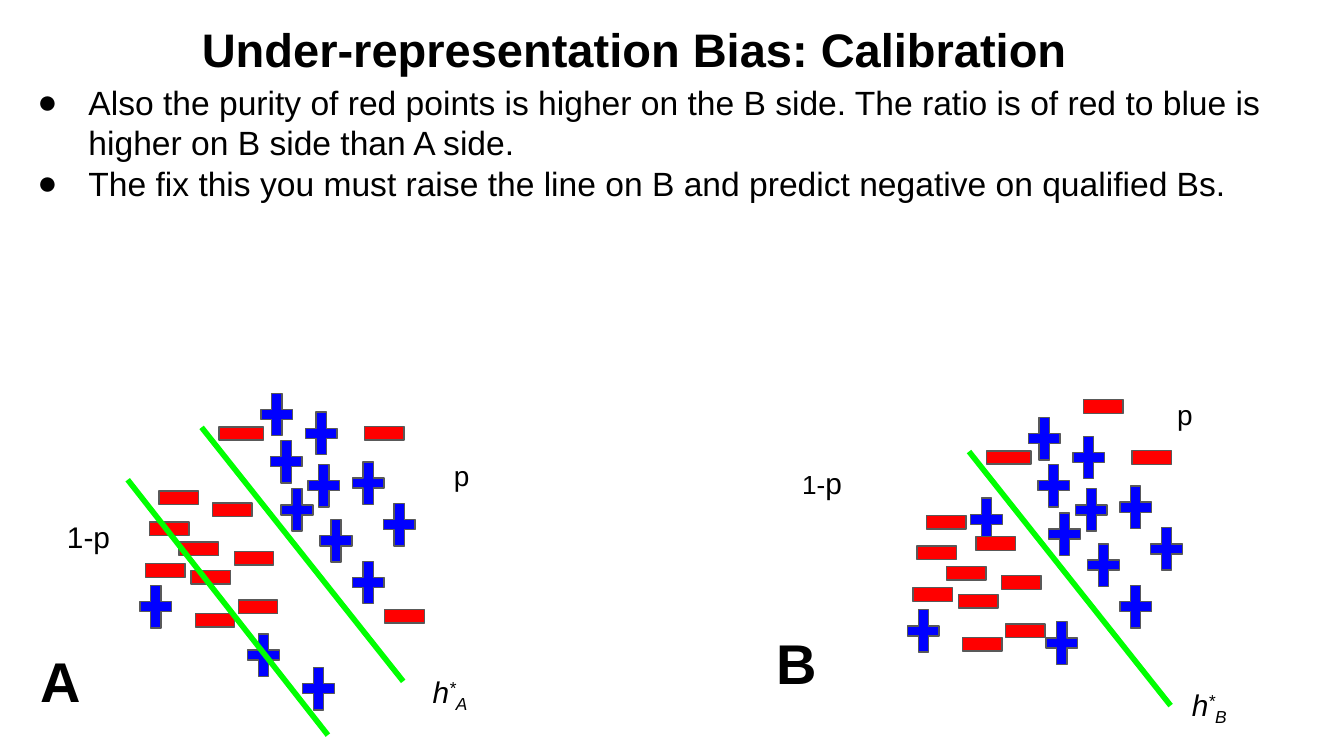
from lxml import etree
from pptx import Presentation
from pptx.dml.color import RGBColor
from pptx.enum.shapes import MSO_CONNECTOR, MSO_SHAPE
from pptx.enum.text import MSO_ANCHOR, PP_ALIGN
from pptx.oxml.ns import qn
from pptx.util import Pt

PX = 9144  # 100 px to the inch
WIDE = 1000 * PX
HIGH = WIDE * 9 // 16
BLACK = RGBColor(0x00, 0x00, 0x00)
BLUE = RGBColor(0x00, 0x00, 0xFF)
RED = RGBColor(0xFF, 0x00, 0x00)
GREEN = RGBColor(0x00, 0xFF, 0x00)
GRAY = RGBColor(0x59, 0x59, 0x59)

PLUS = MSO_SHAPE.MATH_PLUS
MINUS = MSO_SHAPE.MATH_MINUS
STRAIGHT = MSO_CONNECTOR.STRAIGHT
CENTER = PP_ALIGN.CENTER
BOTTOM = MSO_ANCHOR.BOTTOM

# Points and line that both groups share, relative to the group's corner
BLUES = [(95, 0), (128, 14), (110, 71), (102, 35), (130, 53), (139, 94),
         (163, 51), (186, 82), (5, 143), (163, 125)]
REDS = [(171, 14), (11, 85), (45, 153), (33, 100), (42, 121), (18, 62),
        (77, 143), (8, 116), (74, 107)]
SPLIT = (55, 31, 205, 220)

GROUPS = [
    dict(x=95, y=287, name="A", blues=[(85, 179), (126, 204)],
         reds=[(58, 71), (186, 150)], lines=[(0, 70, 149, 260)],
         tag=(-75, 184), rule=(217, 204, 62),
         low=(-55, 89, 62), low_runs=[("1-p", 16, 0)], high=(233, 44)),
    dict(x=666, y=305, name="B", blues=[(108, 152), (52, 60)],
         reds=[(135, -24), (55, 78)], lines=[],
         tag=(-98, 153), rule=(211, 196, 105),
         low=(-79, 31, 105), low_runs=[("1-", 14, 0), ("p", 16, 0)],
         high=(200, -19)),
]


def emu(*nums):
    return [n * PX for n in nums]


def write(par, text, size, bold=False, italic=False, shift=0):
    """Add a run; shift raises or lowers it in percent."""
    run = par.add_run()
    run.text = text
    font = run.font
    font.name, font.size = "Arial", Pt(size)
    font.bold, font.italic = bold, italic
    font.color.rgb = BLACK
    if shift:
        font._element.set("baseline", str(shift * 1000))


def pad(frame):
    frame.word_wrap = True
    frame.margin_left = frame.margin_right = 10 * PX
    frame.margin_top = frame.margin_bottom = 10 * PX


def label(slide, box, runs, **style):
    frame = slide.shapes.add_textbox(*emu(*box)).text_frame
    pad(frame)
    for text, size, shift in runs:
        write(frame.paragraphs[0], text, size, shift=shift, **style)


def bullet(par):
    props = par._p.get_or_add_pPr()
    props.set("marL", str(50 * PX))
    props.set("indent", str(-38 * PX))
    color = etree.SubElement(props, qn("a:buClr"))
    etree.SubElement(color, qn("a:srgbClr")).set("val", str(BLACK))
    etree.SubElement(props, qn("a:buFont")).set("typeface", "Arial")
    etree.SubElement(props, qn("a:buChar")).set("char", "●")


def mark(slide, kind, x, y, w, h, color):
    shape = slide.shapes.add_shape(kind, *emu(x, y, w, h))
    shape.shadow.inherit = False
    shape.fill.solid()
    shape.fill.fore_color.rgb = color
    shape.line.color.rgb = GRAY
    shape.line.width = Pt(0.75)


def divide(slide, x1, y1, x2, y2):
    line = slide.shapes.add_connector(STRAIGHT, *emu(x1, y1, x2, y2))
    line.line.color.rgb = GREEN
    line.line.width = Pt(3)
    etree.SubElement(line._element.spPr, qn("a:effectLst"))


def add_title(slide, box, text):
    title = slide.shapes.title
    title.left, title.top, title.width, title.height = emu(*box)
    frame = title.text_frame
    pad(frame)
    frame.vertical_anchor = BOTTOM
    par = frame.paragraphs[0]
    par.alignment = CENTER
    par.line_spacing = 1.15
    write(par, text, 25.2, bold=True)


def add_body(slide, box, items):
    frame = slide.shapes.add_textbox(*emu(*box)).text_frame
    pad(frame)
    for i, item in enumerate(items):
        par = frame.add_paragraph() if i else frame.paragraphs[0]
        bullet(par)
        write(par, item, 18)


def add_group(slide, x, y, name, blues, reds, lines, tag, rule, low,
              low_runs, high):
    """Draw one scatter of points with its dividing lines and labels."""
    for dx, dy in BLUES + blues:
        mark(slide, PLUS, x + dx, y + dy, 32, 43, BLUE)
    mark(slide, MINUS, x + 62, y + 15, 45, 41, RED)
    for dx, dy in REDS + reds:
        mark(slide, MINUS, x + dx, y + dy, 40, 43, RED)
    for x1, y1, x2, y2 in [SPLIT] + lines:
        divide(slide, x + x1, y + y1, x + x2, y + y2)

    def place(spot, h, runs, **style):
        dx, dy, w = spot
        label(slide, (x + dx, y + dy, w, h), runs, **style)

    place((*tag, 62), 71, [(name, 30, 0)], bold=True)
    place(rule, 47, [("h", 16, 0), ("*", 16, 30), (name, 16, -25)],
          italic=True)
    place(low, 47, low_runs)
    place((*high, 50), 45, [("p", 15, 0)])


def main():
    deck = Presentation()
    deck.slide_width, deck.slide_height = WIDE, HIGH
    slide = deck.slides.add_slide(deck.slide_layouts[5])
    add_title(slide, (6, 0, 932, 67), "Under-representation Bias: Calibration")
    add_body(slide, (6, 51, 988, 113), [
        "Also the purity of red points is higher on the B side. "
        "The ratio is of red to blue is higher on B side than A side.",
        "The fix this you must raise the line on B and predict negative "
        "on qualified Bs.",
    ])
    for group in GROUPS:
        add_group(slide, **group)
    deck.save("out.pptx")


if __name__ == "__main__":
    main()
